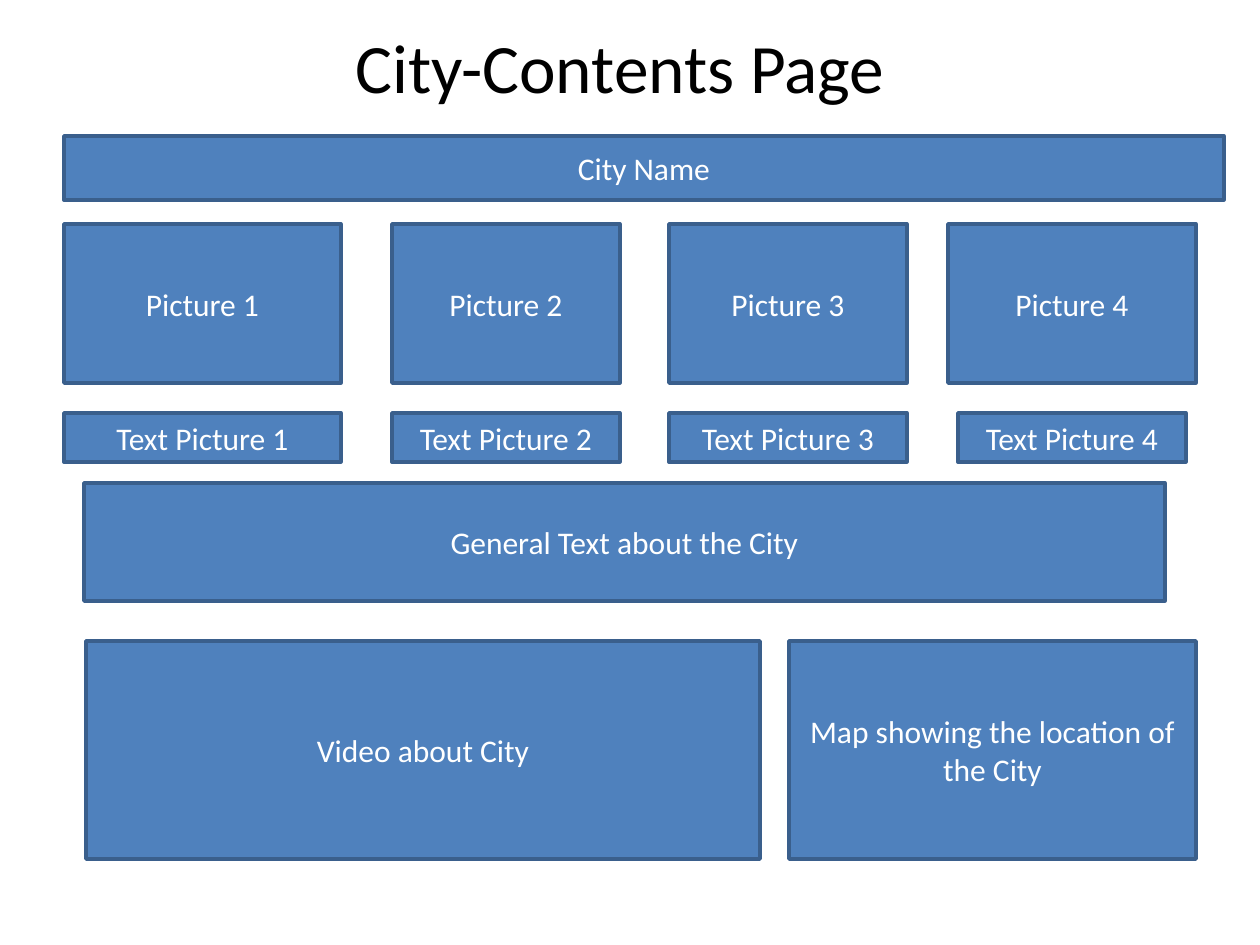
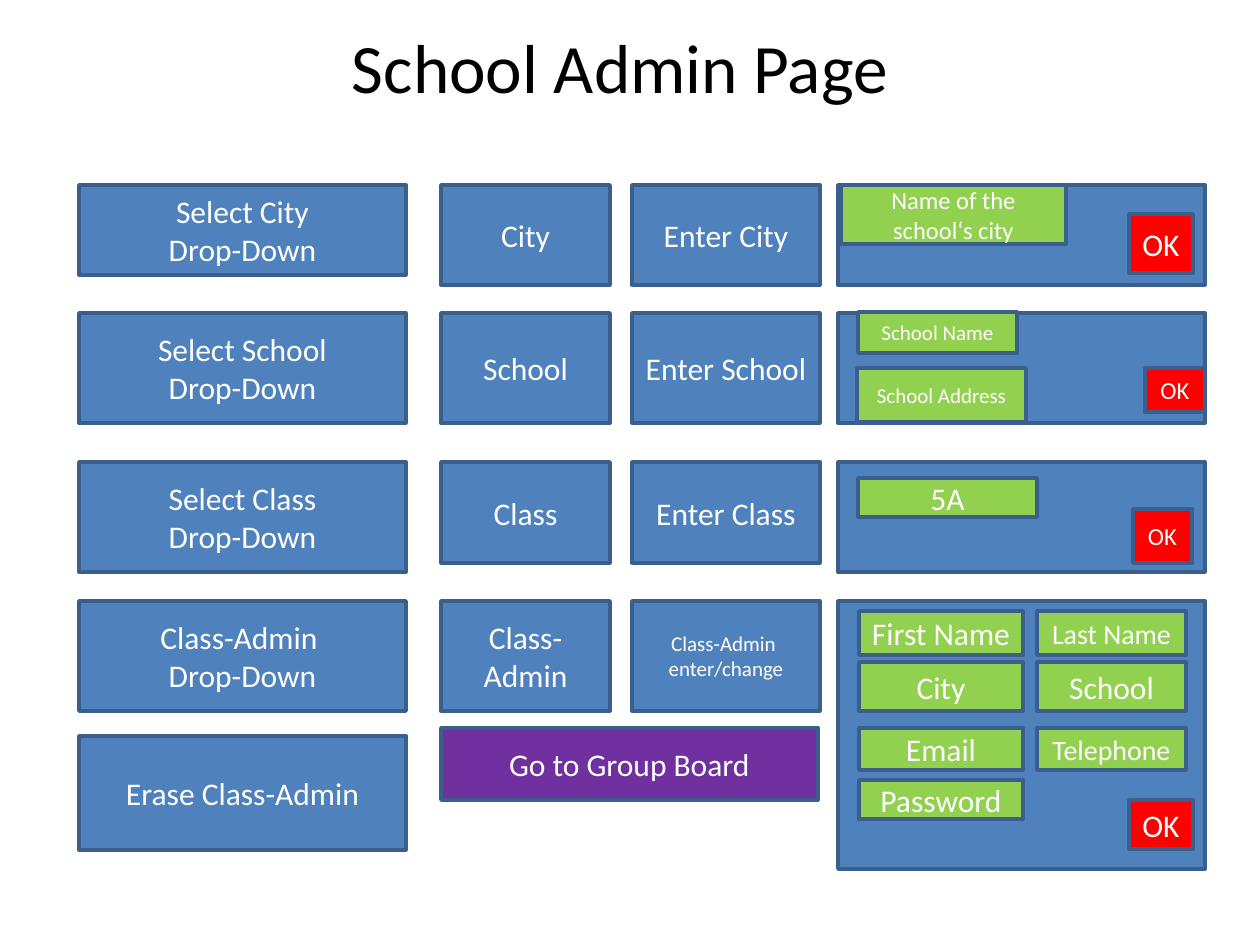
from pptx import Presentation
from pptx.dml.color import RGBColor
from pptx.enum.shapes import MSO_SHAPE
from pptx.enum.text import MSO_ANCHOR, MSO_AUTO_SIZE, PP_ALIGN
from pptx.util import Emu, Inches, Pt

BLUE = RGBColor(0x4F, 0x81, 0xBD)
EDGE = RGBColor(0x3A, 0x5F, 0x8C)
GREEN = RGBColor(0x92, 0xD0, 0x50)
RED = RGBColor(0xFF, 0x00, 0x00)
PURPLE = RGBColor(0x70, 0x30, 0xA0)
WHITE = RGBColor(0xFF, 0xFF, 0xFF)
BLACK = RGBColor(0x00, 0x00, 0x00)

RECT = MSO_SHAPE.RECTANGLE
PROCESS = MSO_SHAPE.FLOWCHART_PROCESS
PX = Inches(1) / 126
FONT = "Calibri"
TITLE_BOX = (164, 36, 912, 59)
FRAME = {"vertical_anchor": MSO_ANCHOR.MIDDLE, "word_wrap": True,
         "auto_size": MSO_AUTO_SIZE.NONE}

PICTURE_TOP, PICTURE_HEIGHT = 224, 159
CAPTION_TOP, CAPTION_HEIGHT = 413, 49
PICTURES = [
    ((64, 277), (64, 277)),
    ((392, 228), (392, 228)),
    ((669, 238), (669, 238)),
    ((948, 248), (958, 228)),
]
CITY_BLOCKS = [
    ("City Name", (64, 136, 1160, 64), RECT),
    ("General Text about the City", (84, 483, 1081, 118), RECT),
    ("Video about City", (86, 641, 674, 218), RECT),
    ("Map showing the location of the City", (789, 641, 407, 218), PROCESS),
]

ADMIN_COLUMNS = [(79, 327), (441, 169), (632, 188)]
PANEL_LEFT, PANEL_WIDTH = 838, 367
ADMIN_ROWS = [
    (185, 100, [("Select City\nDrop-Down", 90, 18, RECT),
                ("City", 100, 18, RECT),
                ("Enter City", 100, 18, RECT)]),
    (313, 110, [("Select School\nDrop-Down", 110, 18, RECT),
                ("School", 110, 18, RECT),
                ("Enter School", 110, 18, RECT)]),
    (462, 110, [("Select Class\nDrop-Down", 110, 18, RECT),
                ("Class", 101, 18, RECT),
                ("Enter Class", 101, 18, RECT)]),
    (601, 268, [("Class-Admin \nDrop-Down", 110, 18, PROCESS),
                ("Class-Admin", 110, 18, RECT),
                ("Class-Admin \nenter/change", 110, 12, RECT)]),
]
ERASE = ("Erase Class-Admin", (79, 736, 327, 114))
FORUM = ("Go to Group Board", (441, 728, 377, 72))
ENTRY_FIELDS = [
    ("Name of the school‘s city", (841, 185, 225, 59), 14),
    ("School Name", (858, 312, 159, 41), 12),
    ("School Address", (857, 368, 169, 54), 12),
    ("5A", (858, 478, 179, 39), 18),
]
PERSON_COLUMNS = [(859, 164), (1037, 149)]
PERSON_ROWS = [
    (611, 44, [("First Name", 18), ("Last Name", 16)]),
    (662, 49, [("City", 18), ("School", 18)]),
    (728, 42, [("Email", 18), ("Telephone", 16)]),
    (780, 39, [("Password", 18)]),
]
OK_BUTTONS = [
    ((1129, 214, 64, 59), 18),
    ((1145, 368, 60, 44), 14),
    ((1133, 509, 59, 54), 14),
    ((1129, 800, 64, 49), 18),
]


def emu(box):
    return [Emu(round(n * PX)) for n in box]


def write(tf, text, size, color):
    for name, value in FRAME.items():
        setattr(tf, name, value)
    for i, line in enumerate(text.split("\n")):
        p = tf.add_paragraph() if i else tf.paragraphs[0]
        p.alignment = PP_ALIGN.CENTER
        r = p.add_run()
        r.text = line
        for name, value in {"name": FONT, "size": Pt(size)}.items():
            setattr(r.font, name, value)
        r.font.color.rgb = color


def add_block(s, text, box, size=18, fill=BLUE, kind=RECT):
    sp = s.shapes.add_shape(kind, *emu(box))
    sp.shadow.inherit = False
    sp.fill.solid()
    sp.fill.fore_color.rgb = fill
    sp.line.color.rgb = EDGE
    sp.line.width = Pt(2)
    if text:
        write(sp.text_frame, text, size, WHITE)


def add_page(prs, title):
    s = prs.slides.add_slide(prs.slide_layouts[0])
    subtitle = s.placeholders[1].element
    subtitle.getparent().remove(subtitle)
    sp = s.shapes.title
    for name, value in zip(("left", "top", "width", "height"), emu(TITLE_BOX)):
        setattr(sp, name, value)
    write(sp.text_frame, title, 39.6, BLACK)
    return s


def build_city_page(prs):
    s = add_page(prs, "City-Contents Page")
    for text, box, kind in CITY_BLOCKS:
        add_block(s, text, box, kind=kind)
    for n, ((x, w), (caption_x, caption_w)) in enumerate(PICTURES, 1):
        add_block(s, f"Picture {n}", (x, PICTURE_TOP, w, PICTURE_HEIGHT))
        add_block(s, f"Text Picture {n}",
                  (caption_x, CAPTION_TOP, caption_w, CAPTION_HEIGHT))


def build_admin_page(prs):
    s = add_page(prs, "School Admin Page")
    for top, panel_height, blocks in ADMIN_ROWS:
        for (text, h, size, kind), (x, w) in zip(blocks, ADMIN_COLUMNS):
            add_block(s, text, (x, top, w, h), size, kind=kind)
        add_block(s, "", (PANEL_LEFT, top, PANEL_WIDTH, panel_height))
    add_block(s, *ERASE)
    add_block(s, *FORUM, fill=PURPLE)
    for text, box, size in ENTRY_FIELDS:
        add_block(s, text, box, size, GREEN)
    for top, h, fields in PERSON_ROWS:
        for (text, size), (x, w) in zip(fields, PERSON_COLUMNS):
            add_block(s, text, (x, top, w, h), size, GREEN)
    for box, size in OK_BUTTONS:
        add_block(s, "OK", box, size, RED)


def main():
    prs = Presentation()
    prs.slide_width, prs.slide_height = Inches(10), Inches(7.5)
    build_city_page(prs)
    build_admin_page(prs)
    prs.save("out.pptx")


if __name__ == "__main__":
    main()
